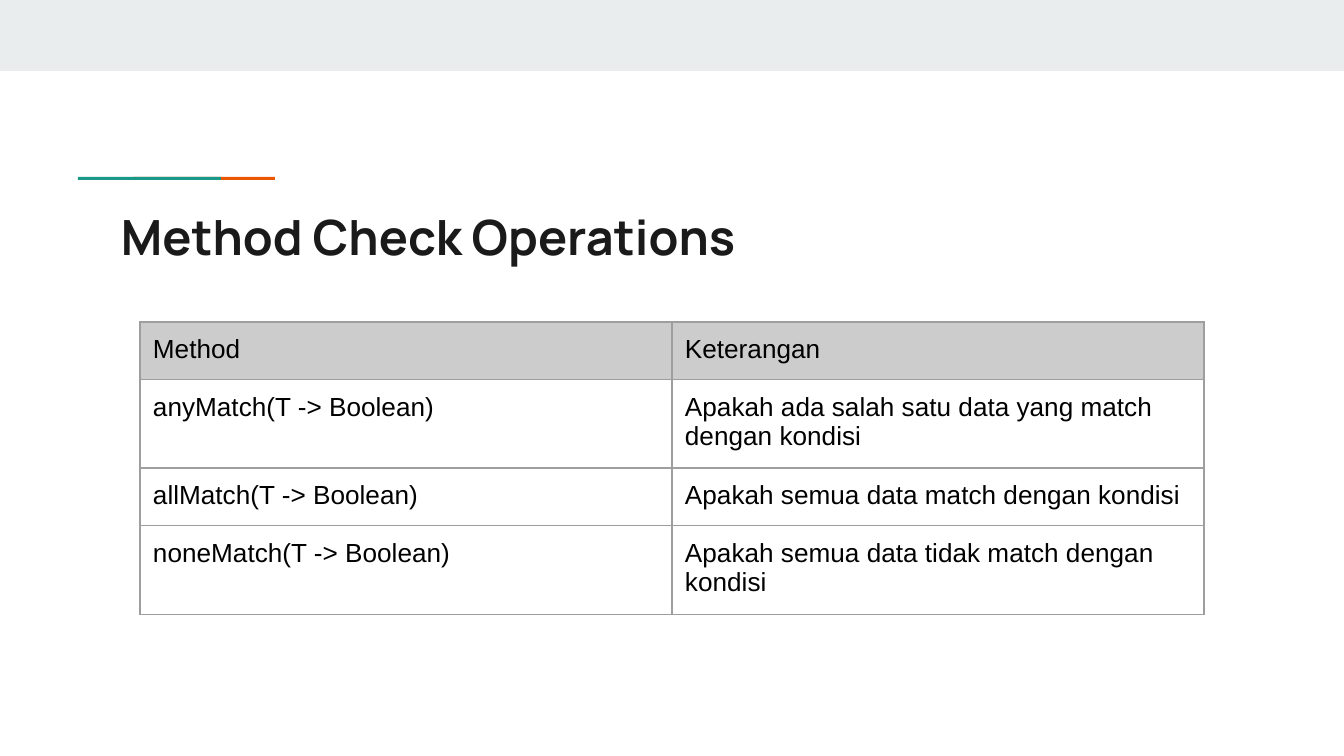
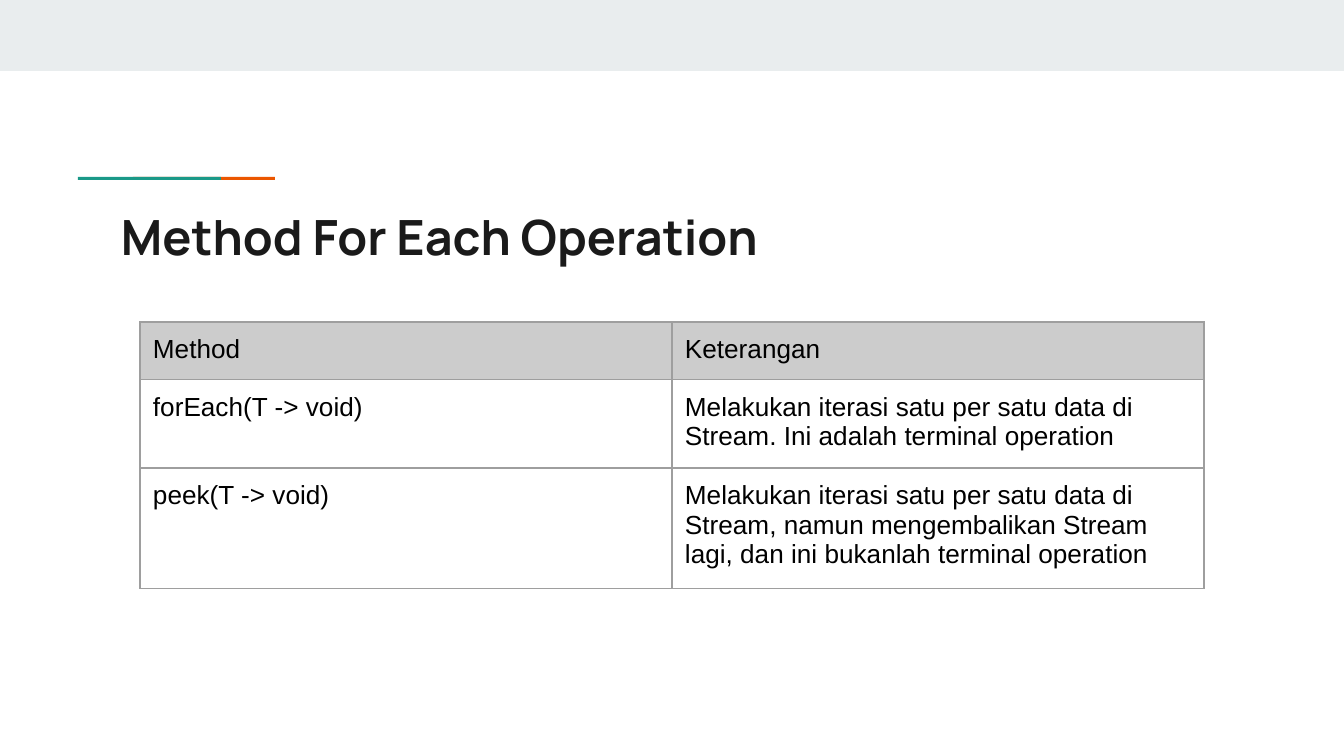
from lxml import etree
from pptx import Presentation
from pptx import util as u
from pptx.dml.color import RGBColor
from pptx.enum import shapes, text
from pptx.oxml.ns import qn

EMU_PER_PX = 914400 / 134.4
SLIDE_W, SLIDE_H = 1344, 756
INSET = 13

BAND, ORANGE, TEAL = "E9EDEE", "EB5600", "1A9988"
HEADER, BORDER = "CCCCCC", "9E9E9E"
TITLE_FONT = {"name": "Manrope", "size": u.Pt(26), "bold": True, "color": "1A1A1A"}
CELL_FONT = {"name": "Arial", "size": u.Pt(14), "bold": False, "color": "000000"}

HEADINGS = ("Method", "Keterangan")
SLIDES = [
    ("Method Check Operations", [
        ("anyMatch(T -> Boolean)", "Apakah ada salah satu data yang match dengan kondisi"),
        ("allMatch(T -> Boolean)", "Apakah semua data match dengan kondisi"),
        ("noneMatch(T -> Boolean)", "Apakah semua data tidak match dengan kondisi"),
    ]),
    ("Method For Each Operation", [
        ("forEach(T -> void)",
         "Melakukan iterasi satu per satu data di Stream. Ini adalah terminal operation"),
        ("peek(T -> void)",
         "Melakukan iterasi satu per satu data di Stream, namun mengembalikan Stream lagi, "
         "dan ini bukanlah terminal operation"),
    ]),
]


def px(n):
    return u.Emu(round(n * EMU_PER_PX))


def rgb(value):
    return RGBColor.from_string(value)


def set_insets(target):
    for side in ("left", "right", "top", "bottom"):
        setattr(target, f"margin_{side}", px(INSET))


def write(tf, words, style):
    p = tf.paragraphs[0]
    r = p.add_run()
    r.text = words
    for key, value in style.items():
        if key == "color":
            r.font.color.rgb = rgb(value)
        else:
            setattr(r.font, key, value)


def add_bar(s, x, y, w, h, color):
    sp = s.shapes.add_shape(shapes.MSO_SHAPE.RECTANGLE, px(x), px(y), px(w), px(h))
    sp.shadow.inherit = False
    sp.fill.solid()
    sp.fill.fore_color.rgb = rgb(color)
    sp.line.fill.background()


def add_frame(s):
    add_bar(s, 0, 0, SLIDE_W, 71, BAND)
    # The teal accent overlaps the orange one
    add_bar(s, 133, 177, 142, 3, ORANGE)
    add_bar(s, 78, 177, 143, 3, TEAL)


def add_title(s, words):
    tf = s.shapes.add_textbox(px(108), px(194), px(1130), px(79)).text_frame
    tf.word_wrap = True
    tf.vertical_anchor = text.MSO_ANCHOR.TOP
    set_insets(tf)
    write(tf, words, TITLE_FONT)


def add_borders(cell):
    tc_pr = cell._tc.get_or_add_tcPr()
    # Borders come before the fill in the cell properties
    for i, side in enumerate(("lnL", "lnR", "lnT", "lnB")):
        ln = etree.Element(qn(f"a:{side}"), w=str(u.Pt(0.75)))
        fill = etree.SubElement(ln, qn("a:solidFill"))
        etree.SubElement(fill, qn("a:srgbClr"), val=BORDER)
        tc_pr.insert(i, ln)


def add_method_table(s, methods):
    rows = [HEADINGS, *methods]
    col_w, row_h = 532, 56
    table = s.shapes.add_table(len(rows), len(HEADINGS), px(140), px(322),
                               px(col_w * len(HEADINGS)), px(row_h * len(rows))).table
    table.first_row = table.horz_banding = False
    for i, row in enumerate(rows):
        for j, words in enumerate(row):
            cell = table.cell(i, j)
            set_insets(cell)
            if i == 0:
                cell.fill.solid()
                cell.fill.fore_color.rgb = rgb(HEADER)
            else:
                cell.fill.background()
            add_borders(cell)
            write(cell.text_frame, words, CELL_FONT)


def main():
    prs = Presentation()
    prs.slide_width, prs.slide_height = px(SLIDE_W), px(SLIDE_H)
    for title, methods in SLIDES:
        s = prs.slides.add_slide(prs.slide_layouts[6])
        add_frame(s)
        add_title(s, title)
        add_method_table(s, methods)
    prs.save("out.pptx")


if __name__ == "__main__":
    main()
